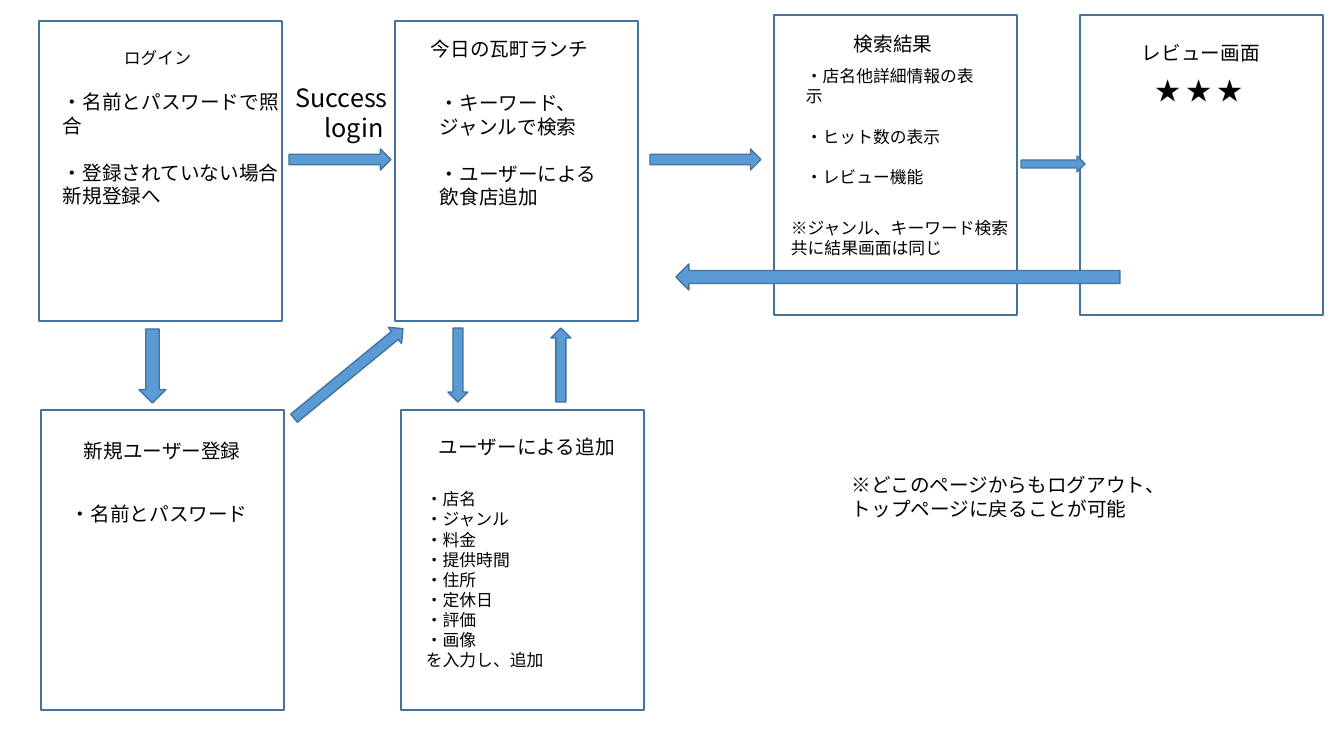
from lxml import etree
from pptx import Presentation
from pptx.dml.color import RGBColor
from pptx.enum.shapes import MSO_SHAPE
from pptx.enum.text import MSO_AUTO_SIZE, PP_ALIGN
from pptx.oxml.ns import qn
from pptx.util import Pt

RECT, DOWN, UP = MSO_SHAPE.RECTANGLE, MSO_SHAPE.DOWN_ARROW, MSO_SHAPE.UP_ARROW
RIGHT, LEFT_ARROW = MSO_SHAPE.RIGHT_ARROW, MSO_SHAPE.LEFT_ARROW
LEFT, CENTER = PP_ALIGN.LEFT, PP_ALIGN.CENTER
FIT = MSO_AUTO_SIZE.SHAPE_TO_FIT_TEXT
SCALE = 12192000 / 1344
FONT = "Noto Sans CJK JP"
LINE_HEIGHT = 1.2
SCREEN_W, SCREEN_H = 243, 300


def add_outlined(shapes, kind, box, fill=None):
    shape = shapes.add_shape(kind, *[round(v * SCALE) for v in box])
    shape.shadow.inherit = False
    shape.line.color.rgb = RGBColor.from_string("43739E")
    shape.line.width = Pt(1)
    if fill:
        shape.fill.solid()
        shape.fill.fore_color.rgb = RGBColor.from_string(fill)
    else:
        shape.fill.background()
    return shape


def add_text(shapes, box, size, blocks, align=LEFT):
    """Each block is a run of lines; one line of space separates blocks."""
    frame = shapes.add_textbox(*[round(v * SCALE) for v in box]).text_frame
    frame.word_wrap = True
    frame.auto_size = FIT
    frame.text = "\n".join(blocks)
    block_starts = set()
    count = 0
    for block in blocks:
        block_starts.add(count)
        count += len(block.split("\n"))
    for i, paragraph in enumerate(frame.paragraphs):
        paragraph.alignment = align
        paragraph.line_spacing = Pt(size * LINE_HEIGHT)
        if i and i in block_starts:
            paragraph.space_before = Pt(size * LINE_HEIGHT)
        paragraph.font.size = Pt(size)
        paragraph.font.name = FONT
        paragraph.font.color.rgb = RGBColor.from_string("000000")
        defaults = paragraph._p.pPr.find(qn("a:defRPr"))
        etree.SubElement(defaults, qn("a:ea")).set("typeface", FONT)


prs = Presentation()
prs.slide_width, prs.slide_height = round(1344 * SCALE), round(756 * SCALE)
slide = prs.slides.add_slide(prs.slide_layouts[6])

# Screens: frame position, then texts as box, size, blocks
screens = [
    ((395, 21), [
        ((421, 32, 266, 34), 14, ["今日の瓦町ランチ"]),
        ((430, 86, 414, 129), 14, ["・キーワード、\nジャンルで検索",
                                   "・ユーザーによる\n飲食店追加"])]),
    ((774, 15), [
        ((844, 27, 184, 34), 14, ["検索結果"]),
        ((796, 61, 196, 132), 12, ["・店名他詳細情報の表示", "・ヒット数の表示",
                                   "・レビュー機能"]),
        ((781, 213, 326, 50), 12, ["※ジャンル、キーワード検索\n共に結果画面は同じ"])]),
    ((1080, 15), [
        ((1132, 36, 191, 34), 14, ["レビュー画面"]),
        ((1146, 70, 167, 40), 18, ["★ ★ ★"])]),
    ((401, 410), [
        ((429, 430, 246, 34), 14, ["ユーザーによる追加"]),
        ((416, 484, 272, 194), 12, ["・店名\n・ジャンル\n・料金\n・提供時間\n・住所\n"
                                    "・定休日\n・評価\n・画像\nを入力し、追加"])]),
    ((39, 21), [
        ((114, 43, 216, 30), 12, ["ログイン"]),
        ((53, 85, 242, 129), 14, ["・名前とパスワードで照合",
                                  "・登録されていない場合\n新規登録へ"])]),
    ((41, 410), [
        ((74, 434, 222, 34), 14, ["新規ユーザー登録"]),
        ((61, 497, 218, 34), 14, ["・名前とパスワード"])]),
]
for position, texts in screens:
    screen = slide.shapes.add_group_shape().shapes
    add_outlined(screen, RECT, (*position, SCREEN_W, SCREEN_H))
    for box, size, blocks in texts:
        add_text(screen, box, size, blocks)

# Transitions between screens
transitions = [
    (DOWN, (139, 329, 27, 74), 0),
    (RIGHT, (289, 149, 102, 21), 0),
    (DOWN, (448, 328, 20, 74), 0),
    (RIGHT, (650, 149, 111, 21), 0),
    (RIGHT, (1021, 156, 64, 16), 0),
    (RIGHT, (278, 363, 141, 21), 320.6),
    (LEFT_ARROW, (676, 264, 444, 26), 0),
    (UP, (551, 328, 20, 74), 0),
]
for kind, box, angle in transitions:
    add_outlined(slide.shapes, kind, box, "5B9BD5").rotation = angle

# Login label and logout note
add_text(slide.shapes, (283, 77, 117, 72), 18, ["Success　login"], CENTER)
add_text(slide.shapes, (842, 468, 527, 57), 14,
         ["※どこのページからもログアウト、\nトップページに戻ることが可能"])

prs.save("out.pptx")
